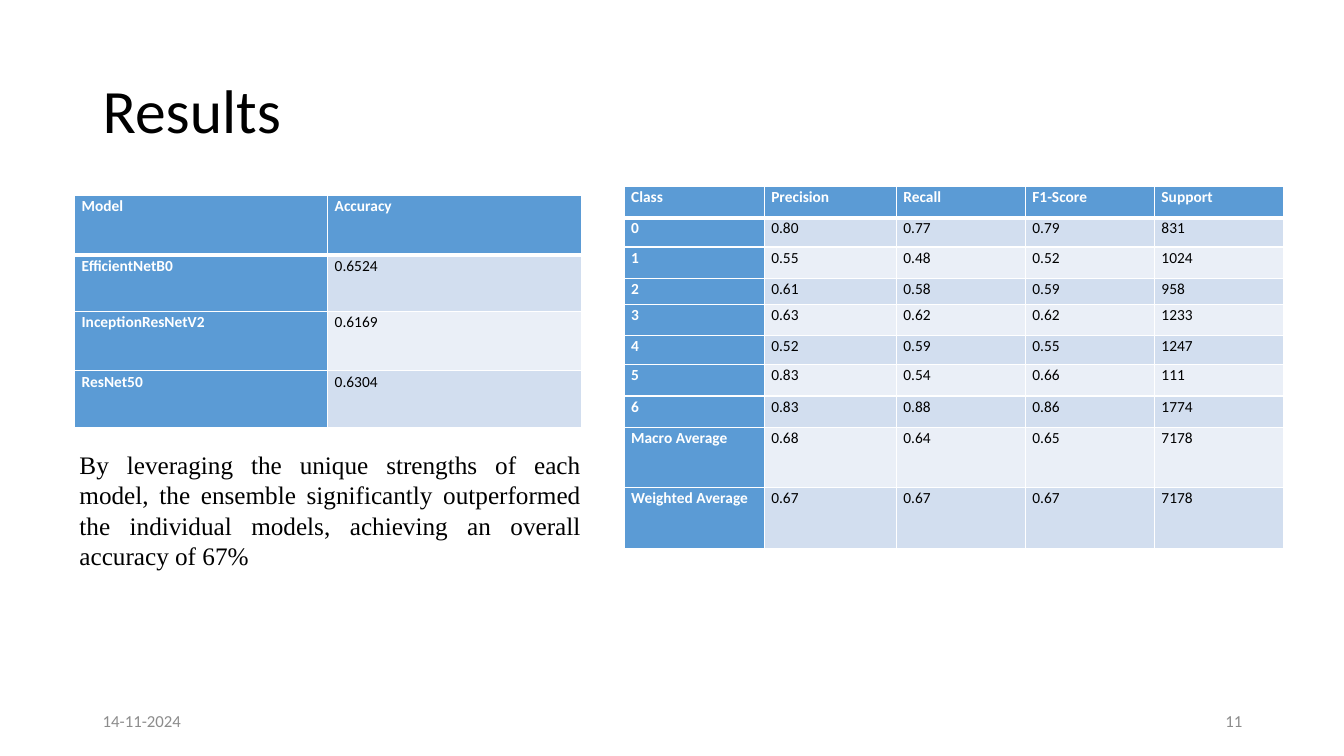
from lxml import etree
from pptx import Presentation
from pptx import util as u
from pptx.dml.color import RGBColor
from pptx.enum import text as t
from pptx.oxml import ns

HUES = {"ink": "000000", "head": "5B9BD5", "odd": "D2DEEF",
        "even": "EAEFF7", "line": "FFFFFF", "foot": "8C8C8C"}

MODELS = [
    ("Model", "Accuracy"),
    ("EfficientNetB0", "0.6524"),
    ("InceptionResNetV2", "0.6169"),
    ("ResNet50", "0.6304"),
]
SCORES = [
    ("Class", "Precision", "Recall", "F1-Score", "Support"),
    ("0", "0.80", "0.77", "0.79", "831"),
    ("1", "0.55", "0.48", "0.52", "1024"),
    ("2", "0.61", "0.58", "0.59", "958"),
    ("3", "0.63", "0.62", "0.62", "1233"),
    ("4", "0.52", "0.59", "0.55", "1247"),
    ("5", "0.83", "0.54", "0.66", "111"),
    ("6", "0.83", "0.88", "0.86", "1774"),
    ("Macro Average", "0.68", "0.64", "0.65", "7178"),
    ("Weighted Average", "0.67", "0.67", "0.67", "7178"),
]
CLAIM = ("By leveraging the unique strengths of each model, the ensemble "
         "significantly outperformed the individual models, achieving an "
         "overall accuracy of 67%")


def color(name):
    return RGBColor.from_string(HUES[name])


def style(para, size, hue, face="Calibri", bold=False):
    for run in para.runs:
        run.font.size = u.Pt(size)
        run.font.name = face
        run.font.bold = bold
        run.font.color.rgb = color(hue)


def add_text(slide, box, words, size, hue="ink", face="Calibri",
             align=t.PP_ALIGN.LEFT, anchor=t.MSO_ANCHOR.MIDDLE, space=1.0):
    frame = slide.shapes.add_textbox(*map(u.Inches, box)).text_frame
    frame.word_wrap = True
    frame.vertical_anchor = anchor
    frame.text = words
    para = frame.paragraphs[0]
    para.alignment = align
    para.line_spacing = space
    style(para, size, hue, face)
    return frame


def add_edges(cell, row):
    """Rule the cell in white, with a heavy line below the header row."""
    props = cell._tc.get_or_add_tcPr()
    thick = {"T": 3 if row == 1 else 1, "B": 3 if row == 0 else 1}
    for side in "LRTB":
        line = etree.SubElement(props, ns.qn("a:ln" + side),
                                w=str(u.Pt(thick.get(side, 1))))
        fill = etree.SubElement(line, ns.qn("a:solidFill"))
        etree.SubElement(fill, ns.qn("a:srgbClr"), val=HUES["line"])


def fill_cell(cell, words, row, col, align):
    head = row == 0 or col == 0
    cell.margin_left = cell.margin_right = u.Inches(0.07)
    cell.margin_top = cell.margin_bottom = 0
    add_edges(cell, row)
    cell.fill.solid()
    cell.fill.fore_color.rgb = color(
        "head" if head else "odd" if row % 2 else "even")
    cell.text_frame.text = words
    para = cell.text_frame.paragraphs[0]
    para.alignment = align
    para.line_spacing = 1.07
    para.space_after = u.Pt(8)
    style(para, 11, "line" if head else "ink", bold=head)


def add_grid(slide, box, data, wide, tall, names=t.PP_ALIGN.LEFT):
    """Place a table; names is the alignment of the first column's labels."""
    table = slide.shapes.add_table(
        len(data), len(wide), *map(u.Inches, box)).table
    table.first_col = True
    for col, size in zip(table.columns, wide):
        col.width = u.Inches(size)
    for row, size in zip(table.rows, tall):
        row.height = u.Inches(size)
    for r, line in enumerate(data):
        for c, words in enumerate(line):
            align = names if r and c == 0 else t.PP_ALIGN.LEFT
            fill_cell(table.cell(r, c), words, r, c, align)


def add_foot(slide, box, date, page):
    left, top, width, height = box
    part = 3
    add_text(slide, (left, top, part, height), date, 12, "foot")
    add_text(slide, (left + width - part, top, part, height), page, 12,
             "foot", align=t.PP_ALIGN.RIGHT)


def add_claim(slide, box):
    frame = add_text(slide, box, CLAIM, 18, face="Times New Roman",
                     align=t.PP_ALIGN.JUSTIFY, anchor=t.MSO_ANCHOR.TOP)
    frame.auto_size = t.MSO_AUTO_SIZE.SHAPE_TO_FIT_TEXT


def main():
    deck = Presentation()
    deck.slide_width = u.Inches(13.33)
    deck.slide_height = u.Inches(7.5)
    slide = deck.slides.add_slide(deck.slide_layouts[6])
    add_text(slide, (0.92, 0.4, 11.5, 1.45), "Results", 44, space=0.9)
    add_foot(slide, (0.92, 6.95, 11.5, 0.4), "14-11-2024", "11")
    add_grid(slide, (0.74, 1.94, 5.03, 2.31), MODELS, [2.51, 2.52],
             [0.59, 0.56] * 2, t.PP_ALIGN.JUSTIFY)
    add_grid(slide, (6.19, 1.85, 6.52, 3.6), SCORES,
             [1.39, 1.31] + [1.28] * 3,
             [0.31, 0.29, 0.31, 0.26, 0.31, 0.29, 0.31, 0.31, 0.6, 0.6])
    add_claim(slide, (0.69, 4.41, 5.17, 1.31))
    deck.save("out.pptx")


if __name__ == "__main__":
    main()
